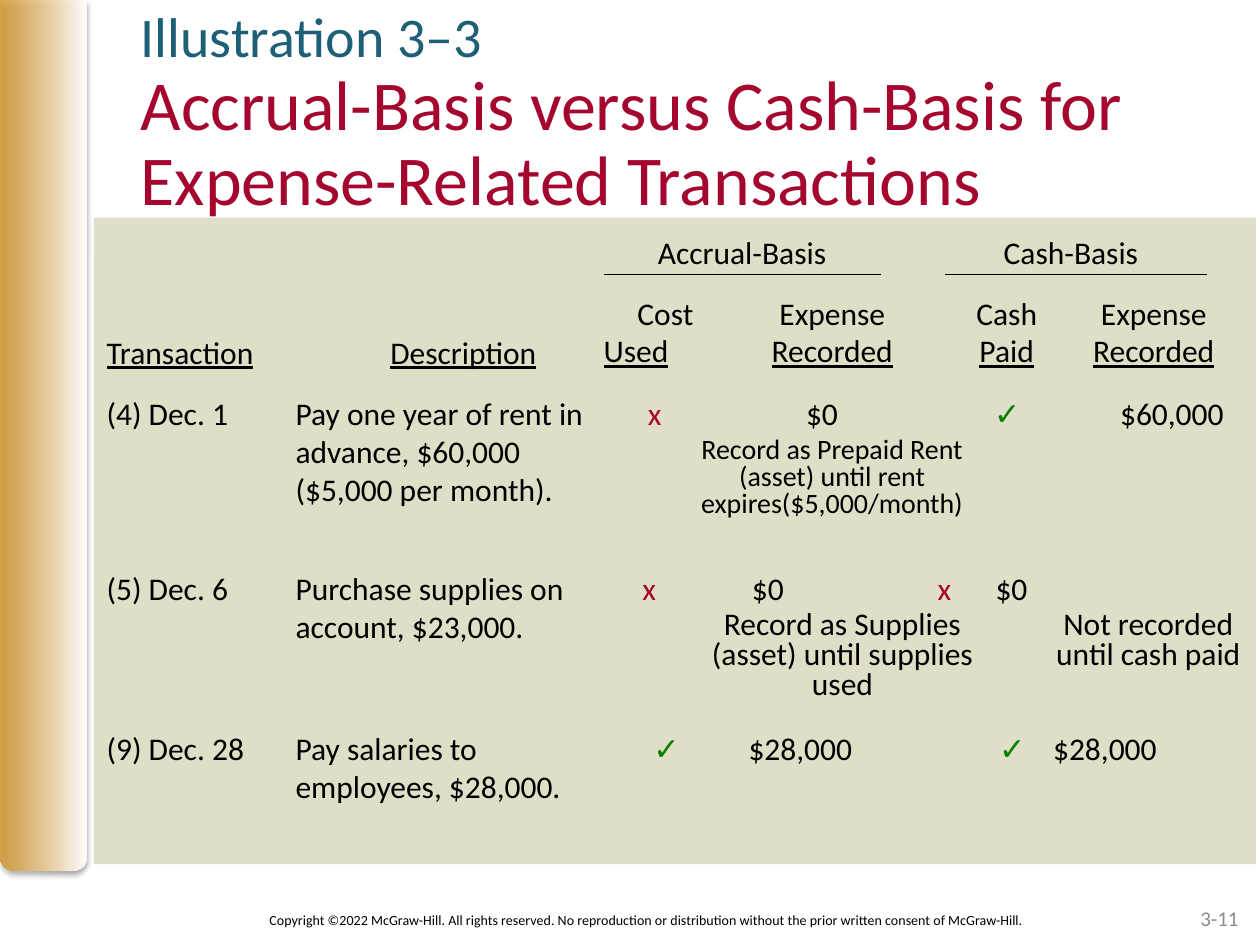
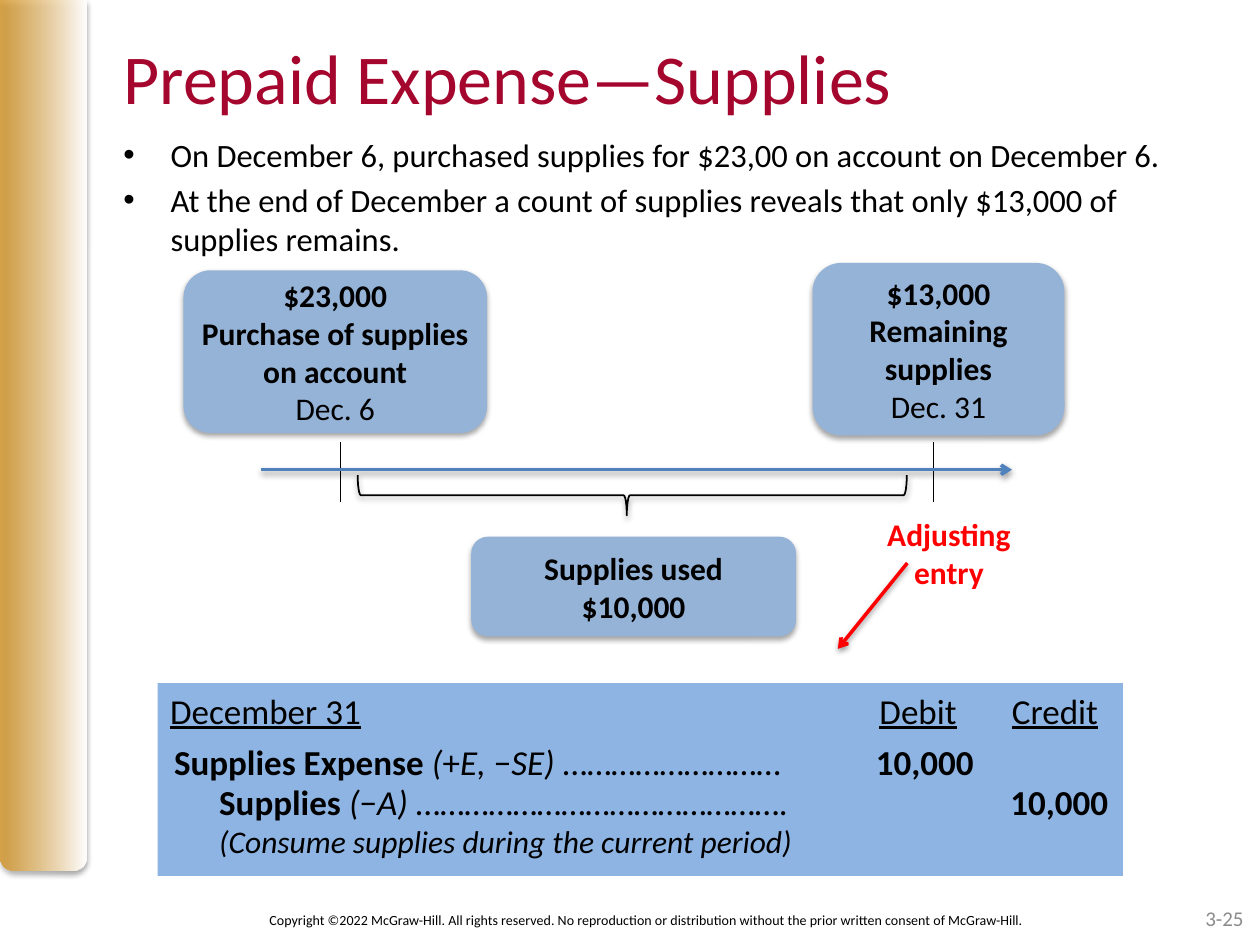
from lxml.etree import SubElement
from pptx import Presentation
from pptx.dml.color import RGBColor
from pptx.enum.shapes import MSO_CONNECTOR, MSO_SHAPE as Preset
from pptx.enum.text import MSO_ANCHOR as Anchor, PP_ALIGN as Align
from pptx.oxml.ns import qn
from pptx.util import Cm, Pt

BLACK, CRIMSON, TEAL, GREEN, RED = "000000", "A5062D", "1D5F76", "008000", "FF0000"
GOLD, WHITE, GRAY, SAND = "D49323", "FFFFFF", "8C8C8C", "D4D0B0"
CARD_BLUE, JOURNAL_BLUE, ARROW_BLUE = "95B3D7", "8EB4E3", "4F81BD"
BODY_FONT, TITLE_SIZE = "Calibri", 40
MARK_STYLES = {"x": {"color": CRIMSON},
               "✓": {"color": GREEN, "face": "Arial", "bold": True}}
COPYRIGHT = ("Copyright ©2022 McGraw-Hill. All rights reserved. No reproduction or "
             "distribution without the prior written consent of McGraw-Hill.")


def rgb(value):
    """Turn a hex string into a colour."""
    return RGBColor.from_string(value)


def within(box, x, y, width, height):
    """Shift a box given relative to the corner of another box."""
    return box[0] + x, box[1] + y, width, height


def set_effects(shape, alpha=None, distance=23000):
    """Clear the theme shadow, or set a soft one below the shape."""
    effects = SubElement(shape._element.spPr, qn("a:effectLst"))
    if alpha:
        shadow = SubElement(effects, qn("a:outerShdw"), blurRad="40000",
                            dist=str(distance), dir="5400000", rotWithShape="0")
        tint = SubElement(shadow, qn("a:srgbClr"), val=BLACK)
        SubElement(tint, qn("a:alpha"), val=str(alpha * 1000))


def set_alpha(fill_element, percent):
    """Make the first colour of a fill partly transparent."""
    tint = next(fill_element.iter(qn("a:srgbClr")))
    SubElement(tint, qn("a:alpha"), val=str(percent * 1000))


def style(run, size=18, color=BLACK, face=BODY_FONT, **flags):
    """Format one run; flags are bold, italic and underline."""
    run.font.size, run.font.name = Pt(size), face
    run.font.color.rgb = rgb(color)
    for flag, value in flags.items():
        setattr(run.font, flag, value)


def fill_frame(frame, text, align=Align.LEFT, anchor=Anchor.TOP, spacing=None, **look):
    """Write evenly formatted text into a frame."""
    frame.word_wrap, frame.vertical_anchor = True, anchor
    frame.text = text
    for paragraph in frame.paragraphs:
        paragraph.alignment, paragraph.line_spacing = align, spacing
        for run in paragraph.runs:
            style(run, **look)


def write(slide, box, text="", flush=False, **look):
    """Add a text box and return its frame."""
    frame = slide.shapes.add_textbox(*map(Cm, box)).text_frame
    if flush:
        frame.margin_left = frame.margin_right = frame.margin_top = frame.margin_bottom = 0
    fill_frame(frame, text, **look)
    return frame


def append_runs(paragraph, pieces, **base):
    """Add runs given as pairs of text and differing format."""
    for text, changes in pieces:
        run = paragraph.add_run()
        run.text = text
        style(run, **{**base, **changes})


def set_tabs(paragraph, stops, align="l"):
    """Set tab stops, in centimetres from the text edge."""
    tabs = SubElement(paragraph._p.get_or_add_pPr(), qn("a:tabLst"))
    for stop in stops:
        SubElement(tabs, qn("a:tab"), pos=str(Cm(stop)), algn=align)


def set_hanging(paragraph, indent):
    """Indent all lines but the first."""
    properties = paragraph._p.get_or_add_pPr()
    properties.set("marL", str(Cm(indent)))
    properties.set("indent", str(-Cm(indent)))
    return properties


def draw_shape(slide, box, preset, color=None, shadow=None):
    """Add a shape without outline."""
    shape = slide.shapes.add_shape(preset, *map(Cm, box))
    set_effects(shape, shadow)
    if color:
        shape.fill.solid()
        shape.fill.fore_color.rgb = rgb(color)
    else:
        shape.fill.background()
    shape.line.fill.background()
    return shape


def draw_line(slide, box, start, end, color=BLACK, width=0.75, arrow=False):
    """Add a line between two points of a box."""
    (x1, y1), (x2, y2) = [(box[0] + x, box[1] + y) for x, y in (start, end)]
    line = slide.shapes.add_connector(MSO_CONNECTOR.STRAIGHT, Cm(x1), Cm(y1), Cm(x2), Cm(y2))
    set_effects(line, 38 if arrow else None, 20000)
    line.line.color.rgb, line.line.width = rgb(color), Pt(width)
    if arrow:
        SubElement(line.line._get_or_add_ln(), qn("a:tailEnd"), type="arrow")


def add_band(slide, box):
    """Draw the golden side band."""
    band = draw_shape(slide, box, Preset.ROUND_2_SAME_RECTANGLE, GOLD, shadow=35)
    band._element.spPr.find(qn("a:xfrm")).set("flipV", "1")
    band.fill.gradient()
    band.fill.gradient_angle = 0
    for stop, color in zip(band.fill.gradient_stops, (GOLD, WHITE)):
        stop.color.rgb = rgb(color)
    set_alpha(band._element.spPr.find(qn("a:gradFill")), 80)


def add_frame(deck, page, page_right):
    """Start a slide with its side band and footer."""
    slide = deck.slides.add_slide(deck.slide_layouts[6])
    write(slide, (3.96, 18.03, 18.16, 1.02), COPYRIGHT, size=8,
          align=Align.CENTER, anchor=Anchor.MIDDLE)
    add_band(slide, (0, 0, 1.75, 17.55))
    write(slide, (page_right - 5.92, 18, 5.92, 1.02), page, flush=True, size=12,
          color=GRAY, align=Align.RIGHT, anchor=Anchor.MIDDLE)
    return slide


def add_title(slide, box, text, spacing=None):
    """Write a slide title."""
    return write(slide, box, text, size=TITLE_SIZE, color=CRIMSON,
                 anchor=Anchor.MIDDLE, spacing=spacing)


def add_headings(slide, box):
    """Write the column headings of the comparison."""
    bases = write(slide, within(box, 9.07, 0.31, 14.33, 0.76),
                  "\tAccrual-Basis\tCash-Basis", flush=True)
    set_tabs(bases.paragraphs[0], (3.99, 10.62), "ctr")
    for start, end in ((10.27, 15.85), (17.15, 22.43)):
        draw_line(slide, box, (start, 1.15), (end, 1.15))
    columns = [(10.27, 2.49, "Cost\nUsed"), (13.37, 3.02, "Expense\nRecorded"),
               (17.15, 2.49, "Cash\nPaid"), (19.94, 2.84, "Expense\nRecorded")]
    for x, width, label in columns:
        heading = write(slide, within(box, x, 1.53, width, 1.55), label,
                        flush=True, align=Align.CENTER)
        lower = heading.paragraphs[1]
        lower.runs[0].font.underline = True
        if lower.text == "Used":
            lower.alignment = Align.LEFT
    for x, label in ((0, "Transaction"), (5.72, "Description")):
        write(slide, within(box, x, 2.19, 3.84, 1.02), label, underline=True)


def add_transaction(slide, box, text, marks, stops):
    """Write one transaction and its entries under both bases."""
    entry = write(slide, within(box, 0, 0, 10.29, box[3]), text)
    set_hanging(entry.paragraphs[0], 3.81)
    results = write(slide, within(box, 10.27, 0, 13, 1.02)).paragraphs[0]
    set_tabs(results, stops)
    append_runs(results, [("\t" + mark, MARK_STYLES.get(mark, {})) for mark in marks])


def add_comparison(slide, box):
    """Draw the panel comparing both bases."""
    panel = draw_shape(slide, box, Preset.RECTANGLE, SAND)
    set_alpha(panel._element.spPr, 70)
    add_headings(slide, box)
    transactions = [
        (3.43, 2.57, "(4) Dec. 1\tPay one year of rent in advance, $60,000 ($5,000 per month).",
         ("x", "$0", "✓", "$60,000"), (0.64, 3.83, 7.62, 10.16)),
        (6.96, 1.8, "(5) Dec. 6\tPurchase supplies on account, $23,000.",
         ("x", "$0", "x", "$0"), (0.53, 2.74, 6.48, 7.65)),
        (10.19, 1.8, "(9) Dec. 28\tPay salaries to employees, $28,000.",
         ("✓", "$28,000", "✓", "$28,000"), (0.75, 2.67, 7.72, 8.81)),
    ]
    for y, height, text, marks, stops in transactions:
        add_transaction(slide, within(box, 0, y, box[2], height), text, marks, stops)
    notes = [
        ((11.84, 4.32, 6.07, 1.91), 16,
         "Record as Prepaid Rent (asset) until rent expires($5,000/month)"),
        ((12.2, 7.8, 5.77, 2.11), 18, "Record as Supplies (asset) until supplies used"),
        ((19, 7.8, 4.5, 1.5), 18, "Not recorded until cash paid"),
    ]
    for place, size, text in notes:
        write(slide, within(box, *place), text, size=size, align=Align.CENTER, spacing=0.8)


def add_bullets(slide, box, points):
    """Write a bulleted list."""
    frame = write(slide, box, "\n".join(points), size=18.6)
    for index, paragraph in enumerate(frame.paragraphs):
        properties = set_hanging(paragraph, 0.95)
        SubElement(properties, qn("a:buFont"), typeface="Arial")
        SubElement(properties, qn("a:buChar"), char="•")
        paragraph.space_before = Pt(3.7 if index else 0)


def add_card(slide, box, text):
    """Draw a rounded card with bold text and a plain date."""
    card = draw_shape(slide, box, Preset.ROUNDED_RECTANGLE, CARD_BLUE, shadow=35)
    frame = card.text_frame
    frame.margin_left = frame.margin_right = frame.margin_top = frame.margin_bottom = 0
    fill_frame(frame, text, align=Align.CENTER, anchor=Anchor.MIDDLE)
    for paragraph in frame.paragraphs:
        paragraph.runs[0].font.bold = not paragraph.text.startswith("Dec.")


def add_timeline(slide, box):
    """Draw the supplies timeline and its adjusting entry."""
    cards = [((0, 0.15, 6.12, 3.28), "$23,000\nPurchase of supplies on account\nDec. 6"),
             ((12.68, 0, 5.08, 3.48), "$13,000\nRemaining\nsupplies\nDec. 31"),
             ((5.8, 5.52, 6.55, 2.01), "Supplies used\n$10,000")]
    for place, text in cards:
        add_card(slide, within(box, *place), text)
    brace = draw_shape(slide, within(box, 8.64, -0.85, 0.81, 11.07),
                       Preset.RIGHT_BRACE, shadow=38)
    brace.rotation = 90
    brace.adjustments[0], brace.adjustments[1] = 0.08, 0.51
    brace.line.color.rgb, brace.line.width = rgb(BLACK), Pt(1)
    write(slide, within(box, 13.55, 4.96, 3.76, 1.8), "Adjusting entry",
          color=RED, bold=True, align=Align.CENTER)
    for x in (3.16, 15.12):
        draw_line(slide, box, (x, 3.62), (x, 4.83))
    draw_line(slide, box, (1.56, 4.17), (16.7, 4.17), ARROW_BLUE, 2, arrow=True)
    draw_line(slide, box, (14.59, 6.05), (13.19, 7.78), RED, 2, arrow=True)


def add_journal(slide, box):
    """Draw the journal entry with debit and credit."""
    draw_shape(slide, box, Preset.RECTANGLE, JOURNAL_BLUE)
    under, bold, italic = {"underline": True}, {"bold": True}, {"italic": True}
    lines = [
        ((0, 0, 21.39, 1.1), (14.3, 16.97),
         [("December 31", under), ("\t", {}), ("Debit", under), ("\t", {}), ("Credit", under)]),
        ((0.08, 1.04, 19.38, 1.12), (14.15,),
         [("Supplies Expense ", bold), ("(", italic), ("+", {}), ("E, ", italic), ("−", {}),
          ("SE) ", italic), ("………………………\t", {}), ("10,000", bold)]),
        ((0.99, 1.83, 18.47, 1.88), (15.95,),
         [("Supplies ", bold), ("(", italic), ("−", {}), ("A) ", italic),
          ("……………………………………….\t", {}), ("10,000", bold)]),
    ]
    for place, stops, pieces in lines:
        frame = write(slide, within(box, *place))
        set_tabs(frame.paragraphs[0], stops)
        append_runs(frame.paragraphs[0], pieces, size=20)
    append_runs(frame.add_paragraph(),
                [("(Consume supplies during the current period)", italic)])


def build_comparison_slide(deck):
    """Build the slide comparing accrual and cash basis."""
    slide = add_frame(deck, "3-11", 24.97)
    add_comparison(slide, (1.9, 4.39, 23.42, 13.03))
    title = add_title(slide, (2.59, 1.24, 22.86, 2.16), "Illustration 3–3\vAccrual-Basis "
                      "versus Cash-Basis for Expense-Related Transactions", 0.9)
    style(title.paragraphs[0].runs[0], size=32, color=TEAL)


def build_supplies_slide(deck):
    """Build the slide on prepaid supplies."""
    slide = add_frame(deck, "3-25", 25.07)
    add_title(slide, (2.24, 0.28, 19.74, 2.51), "Prepaid Expense—Supplies")
    add_bullets(slide, (2.24, 2.59, 22.1, 2.54), [
        "On December 6, purchased supplies for $23,00 on account on December 6.",
        "At the end of December a count of supplies reveals that only $13,000 of "
        "supplies remains."])
    add_timeline(slide, (3.7, 5.3, 17.76, 7.8))
    add_journal(slide, (3.18, 13.77, 19.46, 3.89))


def main():
    """Build and save the deck."""
    deck = Presentation()
    deck.slide_width, deck.slide_height = Cm(25.4), Cm(19.05)
    build_comparison_slide(deck)
    build_supplies_slide(deck)
    deck.save("out.pptx")


if __name__ == "__main__":
    main()
